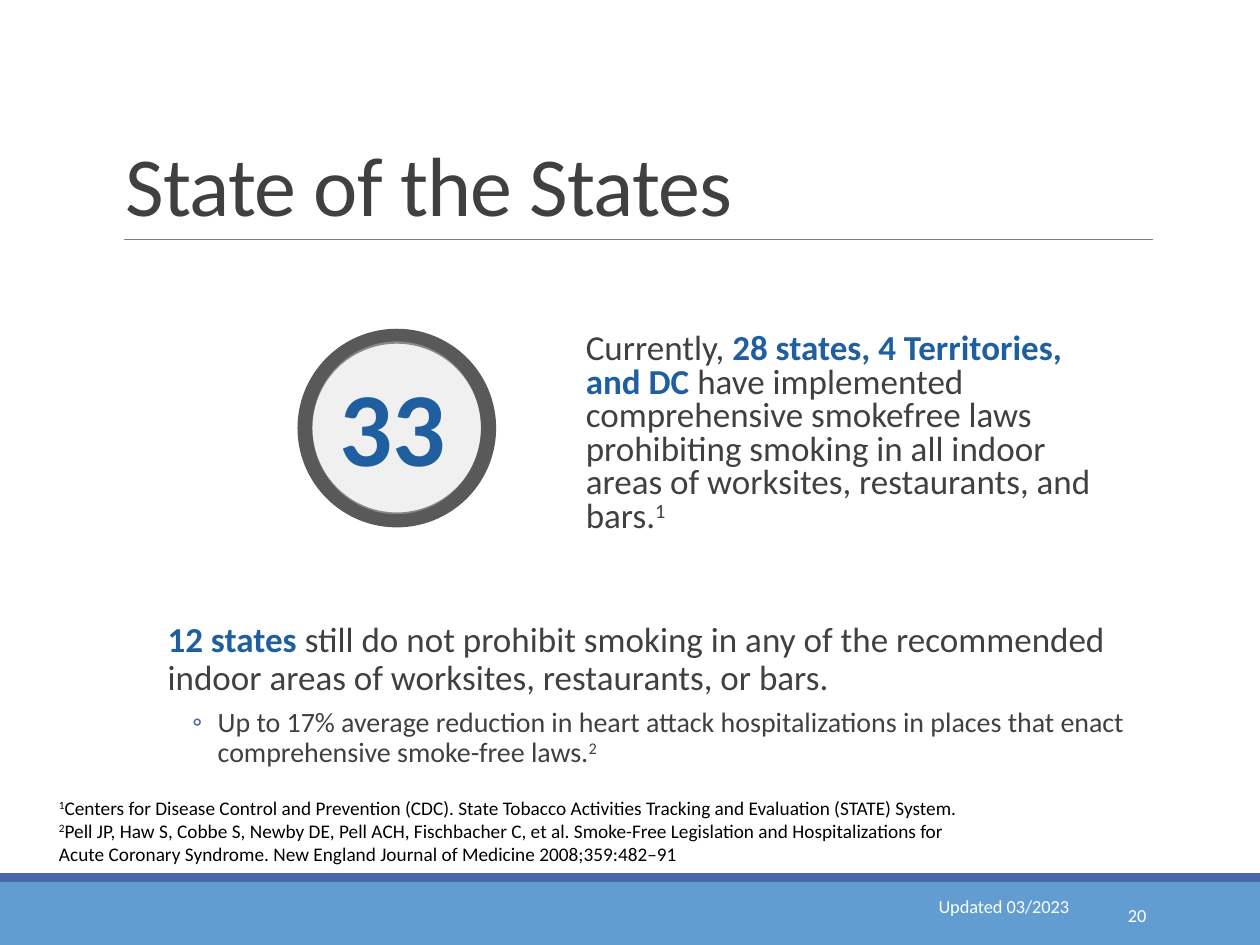
import pptx
import pptx.dml.color
import pptx.enum.shapes
import pptx.enum.text
import pptx.oxml.ns
import pptx.util
from lxml import etree

Cm = pptx.util.Cm
Pt = pptx.util.Pt
SHAPE = pptx.enum.shapes.MSO_SHAPE
ANCHOR = pptx.enum.text.MSO_ANCHOR
ALIGN = pptx.enum.text.PP_ALIGN

FONT = "Calibri"
INK = "404040"
ACCENT = "1F5FA0"
BULLET = "4A66AC"
RING = "595959"
WHITE = "FFFFFF"


def color(value):
    return pptx.dml.color.RGBColor.from_string(value)


def add_xml(parent, tag, **attributes):
    element = etree.SubElement(parent, pptx.oxml.ns.qn(tag))
    for name, value in attributes.items():
        element.set(name, str(value))
    return element


def add_text(slide, box, paragraphs, size=20, ink=INK, bold=False, inset=0.25,
             anchor=ANCHOR.TOP, align=ALIGN.LEFT, line=None, spacing=0, wrap=True):
    """Each paragraph is a dict: runs is a list of (text, run format) pairs,
    and size, before, after, left, hang and bullet are optional."""
    frame = slide.shapes.add_textbox(*map(Cm, box)).text_frame
    frame.word_wrap = wrap
    frame.vertical_anchor = anchor
    frame.margin_left = frame.margin_right = Cm(inset)
    for index, content in enumerate(paragraphs):
        paragraph = frame.paragraphs[0] if index == 0 else frame.add_paragraph()
        properties = paragraph._p.get_or_add_pPr()
        properties.set("marL", str(Cm(content.get("left", 0))))
        properties.set("indent", str(-Cm(content.get("hang", 0))))
        if "bullet" in content:
            add_xml(add_xml(properties, "a:buClr"), "a:srgbClr", val=BULLET)
            add_xml(properties, "a:buFont", typeface=FONT)
            add_xml(properties, "a:buChar", char=content["bullet"])
        paragraph.alignment = align
        paragraph.line_spacing = line
        paragraph.space_before = Pt(content.get("before", 0))
        paragraph.space_after = Pt(content.get("after", 0))
        for text, style in content["runs"]:
            run = paragraph.add_run()
            run.text = text
            run.font.name = FONT
            run.font.size = Pt(content.get("size", size))
            run.font.bold = style.get("bold", bold)
            run.font.color.rgb = color(style.get("ink", ink))
            run_properties = run._r.get_or_add_rPr()
            if spacing:
                run_properties.set("spc", str(int(spacing * 100)))
            if style.get("superscript"):
                run_properties.set("baseline", "30000")


def plain(text):
    return [{"runs": [(text, {})]}]


def add_figure(slide, kind, box, fill, outline=None, opacity=None):
    figure = slide.shapes.add_shape(kind, *map(Cm, box))
    figure.shadow.inherit = False
    figure.fill.solid()
    figure.fill.fore_color.rgb = color(fill)
    if opacity is not None:
        fill_color = figure._element.spPr.find(".//" + pptx.oxml.ns.qn("a:srgbClr"))
        add_xml(fill_color, "a:alpha", val=opacity * 1000)
    if outline:
        figure.line.color.rgb = color(outline)
        figure.line.width = Pt(1.25)
    else:
        figure.line.fill.background()
    return figure


def add_heading(slide, left, top, width, height):
    add_text(slide, (left, top, width, height), plain("State of the States"),
             size=48, anchor=ANCHOR.BOTTOM, line=0.85, spacing=-0.5)
    base = Cm(top + height)
    rule = slide.shapes.add_connector(pptx.enum.shapes.MSO_CONNECTOR.STRAIGHT,
                                      Cm(left + 0.2), base, Cm(left + width), base)
    rule.line.color.rgb = color("808080")
    rule.line.width = Pt(0.5)
    add_xml(rule._element.spPr, "a:effectLst")


def add_badge(slide, left, top, size):
    ring = add_figure(slide, SHAPE.DONUT, (left, top, size, size), RING, RING)
    ring.adjustments[0] = 0.065
    add_figure(slide, SHAPE.OVAL, (left + 0.25, top + 0.21, size - 0.51, size - 0.43),
               "D9D9D9", RING, opacity=38)
    add_text(slide, (left + 0.58, top + 0.51, size - 1.19, size - 1.14),
             plain("33"), size=60, ink=ACCENT, bold=True)


def add_laws(slide, box):
    add_text(slide, box, [{"left": 0.25, "after": 2, "runs": [
        ("Currently, ", {}),
        ("28 states, 4 Territories, and DC ", {"ink": ACCENT, "bold": True}),
        ("have implemented comprehensive smokefree laws prohibiting smoking in "
         "all indoor areas of worksites, restaurants, and bars.", {}),
        ("1", {"superscript": True})]}], inset=0, line=0.8)


def add_gaps(slide, box):
    add_text(slide, box, [
        {"left": 0.56, "after": 4, "runs": [
            ("12 states ", {"ink": ACCENT, "bold": True}),
            ("still do not prohibit smoking in any of the recommended indoor "
             "areas of worksites, restaurants, or bars.", {})]},
        {"left": 1.57, "hang": 0.51, "bullet": "◦", "size": 16,
         "before": 2, "after": 4, "runs": [
             ("Up to 17% average reduction in heart attack hospitalizations in "
              "places that enact comprehensive smoke-free laws.", {}),
             ("2", {"superscript": True})]}], inset=0, line=0.9)


def add_references(slide, box):
    references = [
        "Centers for Disease Control and Prevention (CDC). State Tobacco Activities "
        "Tracking and Evaluation (STATE) System.",
        "Pell JP, Haw S, Cobbe S, Newby DE, Pell ACH, Fischbacher C, et al. "
        "Smoke-Free Legislation and Hospitalizations for Acute Coronary Syndrome. "
        "New England Journal of Medicine 2008;359:482–91"]
    add_text(slide, box,
             [{"runs": [(str(number), {"superscript": True}), (reference, {})]}
              for number, reference in enumerate(references, 1)],
             size=11, ink="000000")


def add_footer(slide, left, top, width, height):
    stripe = 0.18
    band = top + stripe
    add_figure(slide, SHAPE.RECTANGLE, (left, band, width, height - stripe), "629DD1")
    add_figure(slide, SHAPE.RECTANGLE, (left, top, width, stripe), BULLET)
    add_text(slide, (left + 20.62, band + 0.15, 2.74, 1.02), plain("20"), size=10.5,
             ink=WHITE, anchor=ANCHOR.MIDDLE, align=ALIGN.RIGHT)
    add_text(slide, (left + 18.67, band + 0.15, 3.38, 0.71), plain("Updated 03/2023"),
             size=10.5, ink=WHITE, wrap=False)


def main():
    deck = pptx.Presentation()
    deck.slide_width, deck.slide_height = Cm(25.4), Cm(19.05)
    slide = deck.slides.add_slide(deck.slide_layouts[6])
    add_footer(slide, 0, 17.6, 25.4, 1.45)
    add_heading(slide, 2.29, 0.79, 20.96, 4.04)
    add_badge(slide, 6.02, 6.65, 3.96)
    add_laws(slide, (11.56, 6.6, 10.92, 4.5))
    add_gaps(slide, (2.82, 12.42, 20.42, 3.43))
    add_references(slide, (0.94, 15.93, 18.87, 1.68))
    deck.save("out.pptx")


if __name__ == "__main__":
    main()
